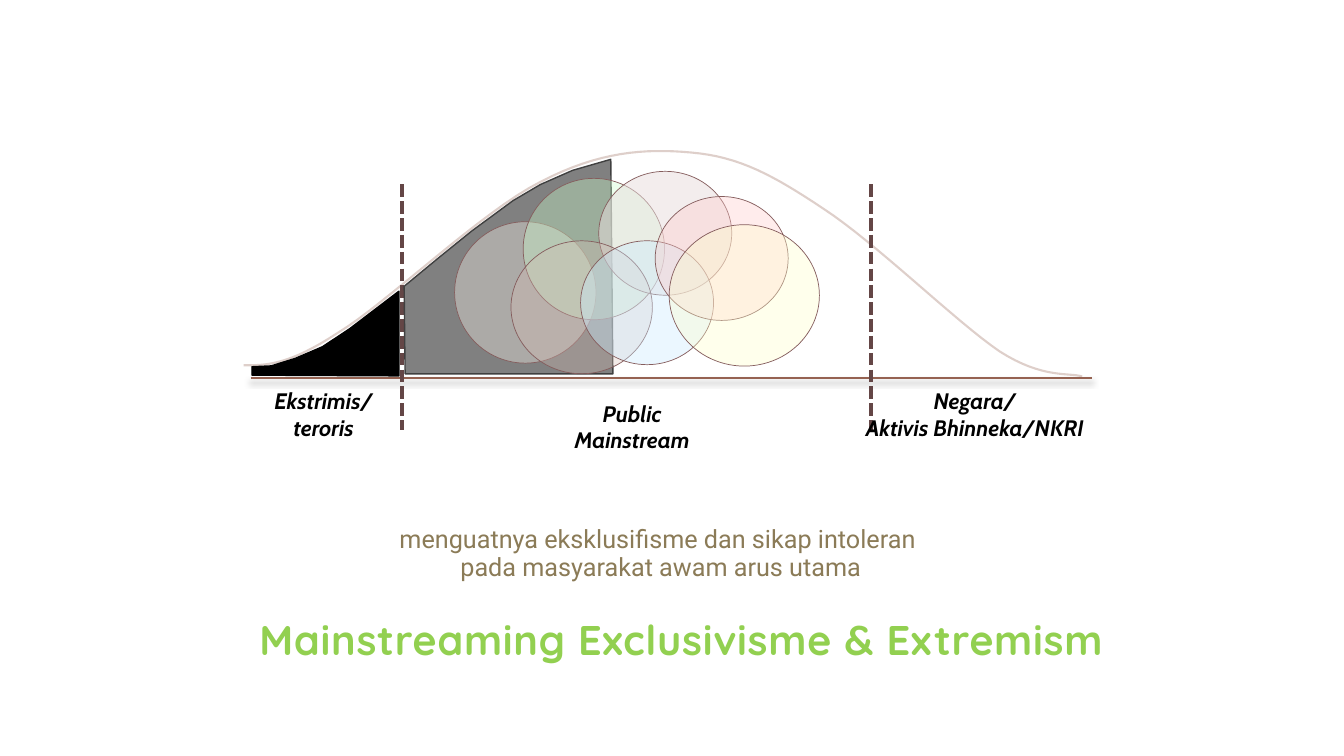
from dataclasses import dataclass

from lxml.etree import SubElement
from pptx import Presentation
from pptx.dml.color import RGBColor
from pptx.enum.dml import MSO_LINE
from pptx.enum.shapes import MSO_CONNECTOR, MSO_SHAPE
from pptx.enum.text import MSO_ANCHOR, MSO_AUTO_SIZE, PP_ALIGN
from pptx.oxml.ns import qn
from pptx.util import Pt


@dataclass(frozen=True)
class Theme:
    curve: str = "956251"
    divider: str = "644646"
    group_line: str = "855D5D"
    extremist: str = "000000"
    public: str = "808080"
    public_line: str = "404040"
    label = {"name": "Cabin", "size": Pt(16), "bold": True, "italic": True}
    label_color: str = "000000"
    title = {"name": "Roboto", "size": Pt(18), "bold": False}
    title_color: str = "8B7B57"
    headline = {"name": "Quicksand", "size": Pt(29.6), "bold": True}
    headline_color: str = "92D050"


THEME = Theme()

# Points of the diagram are measured from its top left corner.
BELL_START = (0, 155)
BELL_CURVES = [
    ((16, 155), (32, 155), (67, 132)),
    ((102, 111), (170, 45), (212, 24)),
    ((254, 2), (287, 0), (320, 3)),
    ((354, 6), (378, 19), (414, 43)),
    ((451, 67), (509, 124), (540, 145)),
    ((571, 165), (591, 160), (599, 163)),
]
EXTREMIST_AREA = [(111, 102), (111, 162.5), (6, 162), (6, 156), (19.7, 155.4),
                  (37, 150), (56.4, 141.7), (76, 128.7)]
PUBLIC_AREA = [(262.3, 7.8), (235, 15.7), (212, 25.8), (192.5, 37.3), (163, 59),
               (140, 77.6), (114.7, 98.5), (115.4, 161), (263.8, 161)]
# left, top, width, height, fill, opacity in percent
GROUPS = [
    (150.7, 52.4, 101, 101, "ECE8E1", 41),
    (199.7, 21.4, 101, 101, "CCFFCC", 36),
    (253.7, 16.4, 95, 88.5, "E8DEDE", 52),
    (191, 66, 101, 95, "D8BFB6", 32),
    (240.7, 66, 95, 88.5, "CCECFF", 39),
    (294, 34.4, 95, 88.5, "FFCCCC", 37),
    (304, 54.5, 107.3, 101, "FFFFCC", 36),
]
LABELS = [
    (7.4, 167, 99.4, ["Ekstrimis/", "teroris"]),
    (214, 176, 127, ["Public", "Mainstream"]),
    (419.3, 167, 206, ["Negara/", "Aktivis Bhinneka/NKRI"]),
]


def set_opacity(fill_parent, percent):
    color = fill_parent.find(".//" + qn("a:srgbClr"))
    SubElement(color, qn("a:alpha")).set("val", str(percent * 1000))


def set_line(line, color, width):
    line.color.rgb = RGBColor.from_string(color)
    line.width = Pt(width)


def write(frame, lines, font, color, spacing=1.0):
    """Fill a text frame with centred paragraphs in one format."""
    frame.word_wrap = True
    frame.text = "\n".join(lines)
    for paragraph in frame.paragraphs:
        paragraph.alignment = PP_ALIGN.CENTER
        paragraph.line_spacing = spacing
        for run in paragraph.runs:
            for key, value in font.items():
                setattr(run.font, key, value)
            run.font.color.rgb = RGBColor.from_string(color)


def bell_points(steps=16):
    """Sample the Bezier arcs of the bell curve."""
    points = [BELL_START]
    for c1, c2, end in BELL_CURVES:
        start = points[-1]
        for step in range(1, steps + 1):
            t = step / steps
            u = 1 - t
            points.append(tuple(
                u**3 * a + 3 * u * u * t * b + 3 * u * t * t * c + t**3 * d
                for a, b, c, d in zip(start, c1, c2, end)))
    return points


def add_outline(slide, left, top, points, color, width, fill=None):
    """Draw a closed filled area, or an open line when there is no fill."""
    placed = [(Pt(left + x), Pt(top + y)) for x, y in points]
    builder = slide.shapes.build_freeform(*placed[0])
    builder.add_line_segments(placed[1:], close=fill is not None)
    outline = builder.convert_to_shape()
    outline.shadow.inherit = False
    set_line(outline.line, color, width)
    if fill:
        outline.fill.solid()
        outline.fill.fore_color.rgb = RGBColor.from_string(fill)
    else:
        outline.fill.background()
    return outline


def add_rule(slide, start, end, color, width):
    """Draw a straight line and return it with its empty effect list."""
    rule = slide.shapes.add_connector(
        MSO_CONNECTOR.STRAIGHT, *(Pt(value) for value in start + end))
    set_line(rule.line, color, width)
    return rule, SubElement(rule._element.spPr, qn("a:effectLst"))


def add_baseline(slide, left, top):
    _, effects = add_rule(slide, (left + 5, top + 164), (left + 606, top + 164),
                          THEME.curve, 1.5)
    shadow = SubElement(effects, qn("a:outerShdw"))
    for key, value in {"blurRad": Pt(4), "dist": Pt(3), "dir": 5400000}.items():
        shadow.set(key, str(int(value)))
    SubElement(shadow, qn("a:srgbClr")).set("val", "000000")
    set_opacity(shadow, 40)


def add_divider(slide, x, top, bottom):
    divider, effects = add_rule(slide, (x, top), (x, bottom), THEME.divider, 3)
    divider.line.dash_style = MSO_LINE.SQUARE_DOT
    divider._element.spPr.append(effects)


def add_group(slide, left, top, width, height, fill, opacity):
    group = slide.shapes.add_shape(
        MSO_SHAPE.OVAL, Pt(left), Pt(top), Pt(width), Pt(height))
    group.shadow.inherit = False
    group.fill.solid()
    group.fill.fore_color.rgb = RGBColor.from_string(fill)
    set_opacity(group._element.spPr, opacity)
    set_line(group.line, THEME.group_line, 0.5)


def add_spectrum(slide, left, top):
    """Draw the bell curve with its areas, groups and labels."""
    bell = add_outline(slide, left, top, bell_points(), THEME.curve, 1.5)
    set_opacity(bell.line._ln, 30)
    add_baseline(slide, left, top)
    for x in (113.3, 448):
        add_divider(slide, left + x, top + 25.8, top + 201.4)
    add_outline(slide, left, top, EXTREMIST_AREA, THEME.extremist, 1, THEME.extremist)
    add_outline(slide, left, top, PUBLIC_AREA, THEME.public_line, 1, THEME.public)
    for x, y, *look in GROUPS:
        add_group(slide, left + x, top + y, *look)
    for x, y, width, lines in LABELS:
        label = slide.shapes.add_textbox(Pt(left + x), Pt(top + y), Pt(width), Pt(46))
        write(label.text_frame, lines, THEME.label, THEME.label_color)


def place_title(slide, left, top, width, height):
    title = slide.shapes.title
    box = {"left": left, "top": top, "width": width, "height": height}
    for key, value in box.items():
        setattr(title, key, Pt(value))
    frame = title.text_frame
    frame.auto_size = MSO_AUTO_SIZE.NONE
    frame.vertical_anchor = MSO_ANCHOR.BOTTOM
    write(frame, ["menguatnya eksklusifisme dan sikap intoleran \v"
                  "pada masyarakat awam arus utama"],
          THEME.title, THEME.title_color, 0.9)


def add_headline(slide, left, top, width, height):
    headline = slide.shapes.add_textbox(Pt(left), Pt(top), Pt(width), Pt(height))
    write(headline.text_frame, ["Mainstreaming Exclusivisme & Extremism"],
          THEME.headline, THEME.headline_color, 0.8)
    run = headline.text_frame.paragraphs[0].runs[0]
    run._r.get_or_add_rPr().set("spc", "50")


def main():
    deck = Presentation()
    deck.slide_width, deck.slide_height = Pt(960), Pt(540)
    slide = deck.slides.add_slide(deck.slide_layouts[5])
    place_title(slide, 171.4, 342, 601.2, 77)
    add_spectrum(slide, 174, 106)
    add_headline(slide, 126, 442, 722, 68.4)
    deck.save("out.pptx")


if __name__ == "__main__":
    main()
